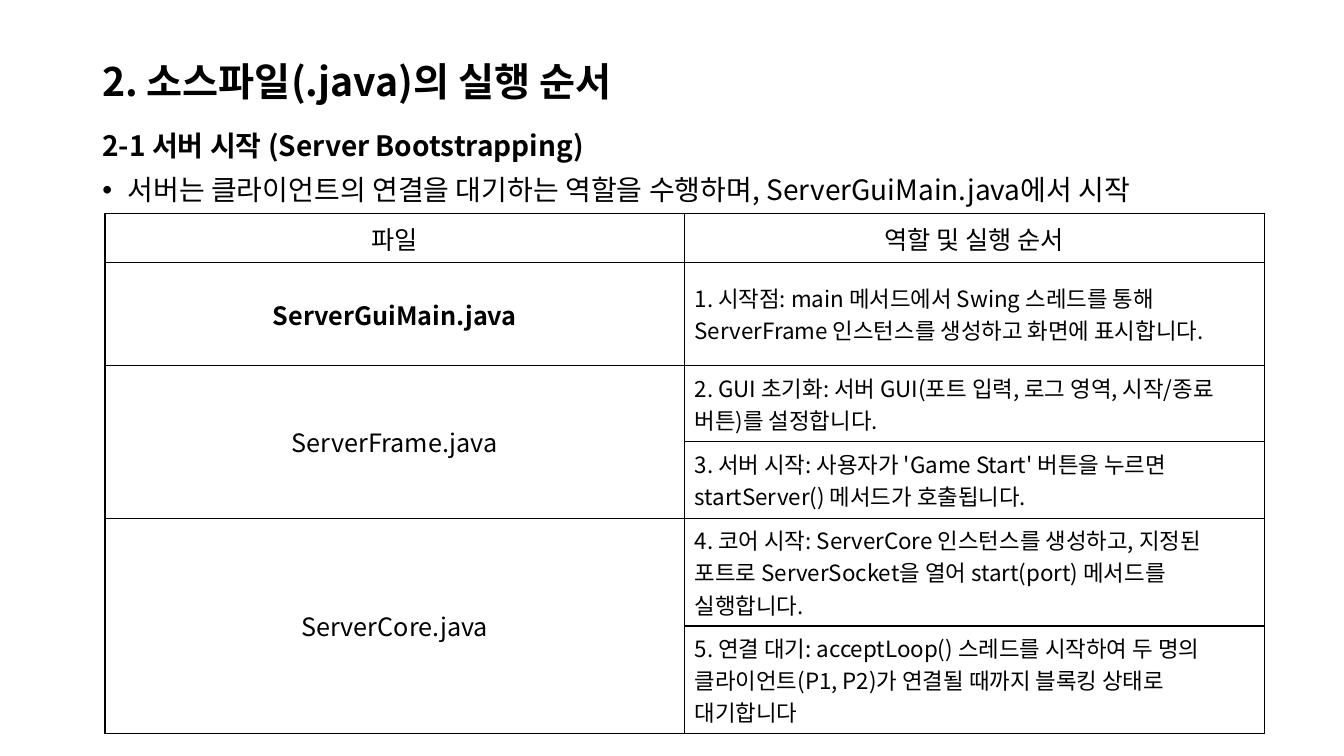
from lxml.etree import SubElement
from pptx import Presentation
from pptx.dml.color import RGBColor
from pptx.enum.text import MSO_ANCHOR, PP_ALIGN
from pptx.oxml.ns import qn
from pptx.util import Pt

FONT = "Noto Sans CJK KR"
COLORS = {"ink": "000000"}
TITLE = "2. 소스파일(.java)의 실행 순서"
HEADING = "2-1 서버 시작 (Server Bootstrapping)"
SUMMARY = "서버는 클라이언트의 연결을 대기하는 역할을 수행하며, ServerGuiMain.java에서 시작"
HEADERS = ("파일", "역할 및 실행 순서")
FILES = [
    ("ServerGuiMain.java", [
        "1. 시작점: main 메서드에서 Swing 스레드를 통해 ServerFrame 인스턴스를 생성하고 화면에 표시합니다.",
    ]),
    ("ServerFrame.java", [
        "2. GUI 초기화: 서버 GUI(포트 입력, 로그 영역, 시작/종료 버튼)를 설정합니다.",
        "3. 서버 시작: 사용자가 'Game Start' 버튼을 누르면 startServer() 메서드가 호출됩니다.",
    ]),
    ("ServerCore.java", [
        "4. 코어 시작: ServerCore 인스턴스를 생성하고, 지정된 포트로 ServerSocket을 열어 start(port) 메서드를 실행합니다.",
        "5. 연결 대기: acceptLoop() 스레드를 시작하여 두 명의 클라이언트(P1, P2)가 연결될 때까지 블록킹 상태로 대기합니다",
    ]),
]
ENTRY_FILE = "ServerGuiMain.java"
ROW_HEIGHTS = (34.7, 73.7, 54.5, 54.5, 77, 77)
LEFT, WIDTH = 66, 828
TABLE_LEFT, TABLE_TOP = 75, 152.8


def style(para, size, bold=False):
    for span in para.runs:
        font = span.font
        font.size, font.bold, font.name = Pt(size), bold, FONT
        font.color.rgb = RGBColor.from_string(COLORS["ink"])
        SubElement(span._r.get_or_add_rPr(), qn("a:ea"), typeface=FONT)


def add_text(page, top, height, lines, size, bold_first=True):
    box = page.shapes.add_textbox(Pt(LEFT), Pt(top), Pt(WIDTH), Pt(height))
    frame = box.text_frame
    frame.word_wrap = True
    frame.text = "\n".join(lines)
    for index, para in enumerate(frame.paragraphs):
        para.line_spacing = 0.9
        para.space_before = Pt(10 if index else 0)
        style(para, size, bold_first and index == 0)
    return frame


def add_bullet(para, indent):
    props = para._p.get_or_add_pPr()
    props.set("marL", str(Pt(indent)))
    props.set("indent", str(Pt(-indent)))
    SubElement(props, qn("a:buFont"), typeface="Arial")
    SubElement(props, qn("a:buChar"), char="•")


def fill_cell(cell, text, size, bold=False, centered=False):
    cell.text = text
    cell.vertical_anchor = MSO_ANCHOR.MIDDLE
    para = cell.text_frame.paragraphs[0]
    para.alignment = PP_ALIGN.CENTER if centered else PP_ALIGN.LEFT
    style(para, size, bold)


def draw_borders(cell):
    props = cell._tc.get_or_add_tcPr()
    for side in ("lnL", "lnR", "lnT", "lnB"):
        line = SubElement(props, qn(f"a:{side}"), w=str(Pt(1)))
        paint = SubElement(line, qn("a:solidFill"))
        SubElement(paint, qn("a:srgbClr"), val=COLORS["ink"])
    cell.fill.background()


def add_file_table(page):
    frame = page.shapes.add_table(len(ROW_HEIGHTS), len(HEADERS), Pt(TABLE_LEFT),
                                  Pt(TABLE_TOP), Pt(WIDTH), Pt(sum(ROW_HEIGHTS)))
    table = frame.table
    table.first_row = table.horz_banding = False
    for row, height in zip(table.rows, ROW_HEIGHTS):
        row.height = Pt(height)
    for cell in table.iter_cells():
        draw_borders(cell)
    for column, header in enumerate(HEADERS):
        fill_cell(table.cell(0, column), header, 18, centered=True)
    top = 1
    for name, steps in FILES:
        fill_cell(table.cell(top, 0), name, 18, name == ENTRY_FILE, True)
        for offset, step in enumerate(steps):
            fill_cell(table.cell(top + offset, 1), step, 16)
        if len(steps) > 1:
            table.cell(top, 0).merge(table.cell(top + len(steps) - 1, 0))
        top += len(steps)


def main():
    """Build the server start-up slide."""
    deck = Presentation()
    deck.slide_width, deck.slide_height = Pt(960), Pt(540)
    page = deck.slides.add_slide(deck.slide_layouts[6])
    title = add_text(page, 28.8, 61.9, [TITLE], 28)
    title.vertical_anchor = MSO_ANCHOR.MIDDLE
    body = add_text(page, 90.7, 395.3, [HEADING, SUMMARY], 20)
    add_bullet(body.paragraphs[1], 18)
    add_file_table(page)
    deck.save("out.pptx")


if __name__ == "__main__":
    main()
